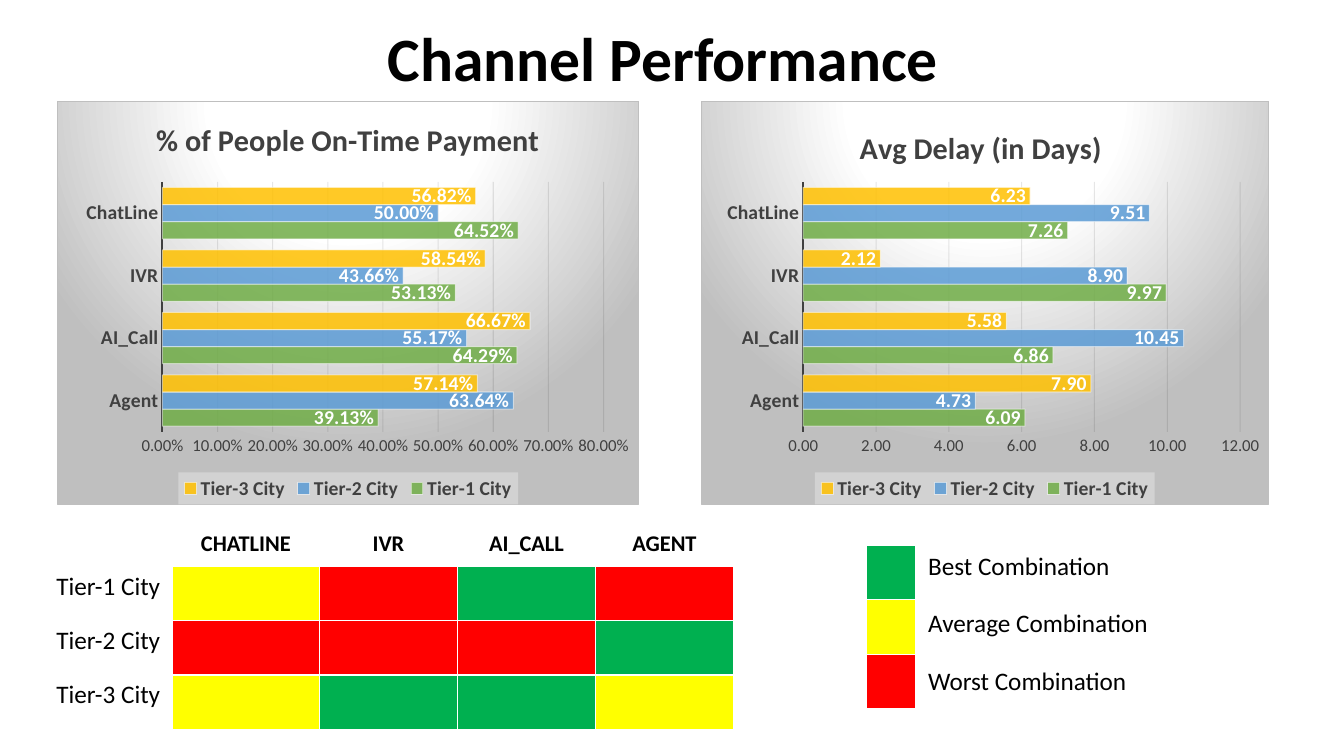
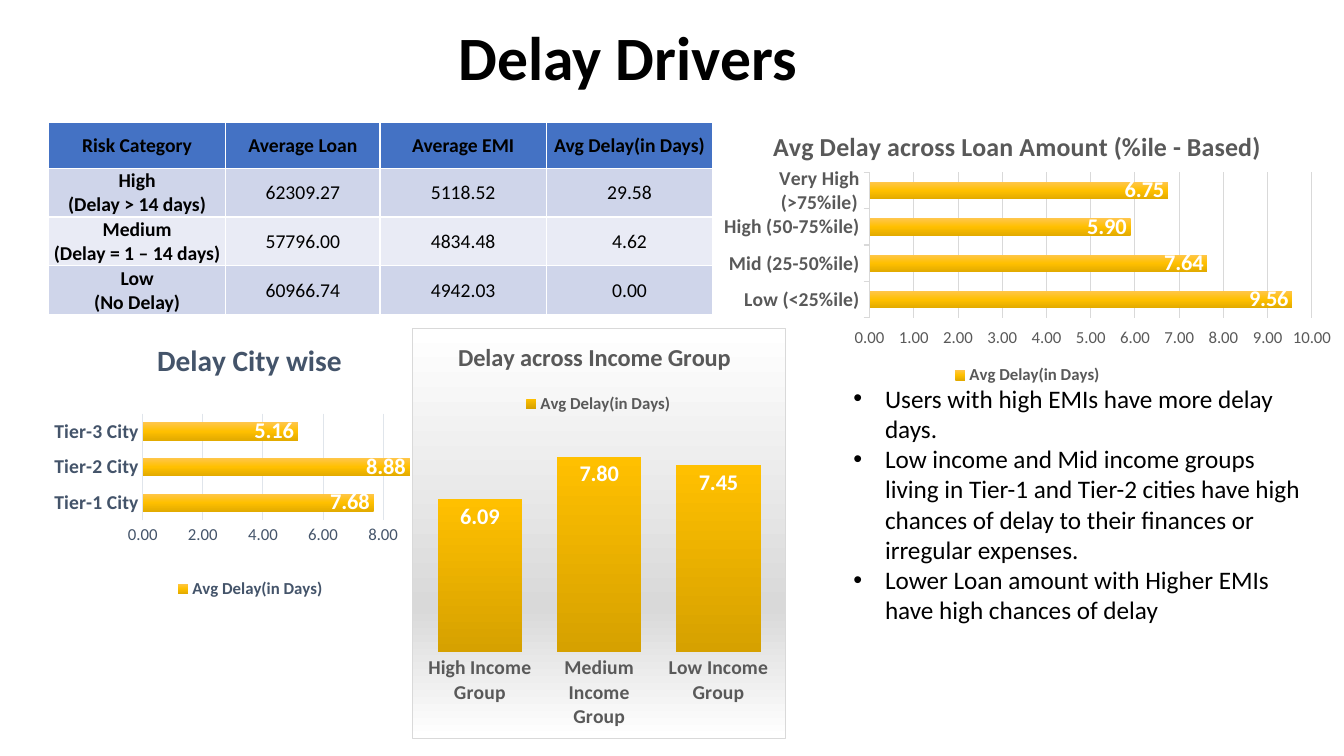
from dataclasses import dataclass

from lxml import etree
from pptx import Presentation
from pptx.chart.data import CategoryChartData
from pptx.dml.color import RGBColor
from pptx.enum.chart import XL_CHART_TYPE as ChartType
from pptx.enum.chart import XL_LABEL_POSITION as LabelPosition
from pptx.enum.chart import XL_LEGEND_POSITION as LegendPosition
from pptx.enum.chart import XL_TICK_MARK as TickMark
from pptx.enum.text import MSO_ANCHOR as Anchor
from pptx.enum.text import PP_ALIGN as Align
from pptx.oxml import parse_xml
from pptx.oxml.ns import nsdecls, qn
from pptx.util import Pt


@dataclass(frozen=True)
class Theme:
    font: str = "Calibri"
    black: str = "000000"
    white: str = "FFFFFF"
    dark: str = "404040"
    gray: str = "595959"
    slate: str = "44546A"
    best: str = "00B050"
    average: str = "FFFF00"
    worst: str = "FF0000"
    header: str = "4472C4"
    bands: tuple = ("CFD5EA", "E9EBF5")
    tiers: tuple = ("70AD47", "5B9BD5", "FFC000")
    gold_bar: tuple = ((0, "FFC64B"), (50, "FFC000"), (100, "E3AB00"))
    gold_column: tuple = ((0, "FFC000"), (100, "D6A100"))
    spotlight: tuple = ((0, "FFFFFF"), (39, "FFFFFF"), (100, "BFBFBF"))
    sheen: tuple = ((0, "FFFFFF"), (68, "D9D9D9"), (100, "FFFFFF"))
    title: float = 44
    body: float = 18
    heading: float = 16
    cell: float = 14
    axis: float = 12
    tier_title: float = 21.6
    city_title: float = 21
    income_title: float = 17.5
    loan_title: float = 18.5


THEME = Theme()
LINEAR = '<a:lin ang="5400000" scaled="0"/>'
RADIAL = ('<a:path path="circle"><a:fillToRect l="50000" t="-80000" '
          'r="50000" b="180000"/></a:path>')


def apply(target, values):
    for name, value in values.items():
        setattr(target, name, value)


def style_font(font, size, color=THEME.black, bold=False):
    apply(font, {"name": THEME.font, "size": Pt(size), "bold": bold})
    font.color.rgb = RGBColor.from_string(color)


def style_line(line, color, width):
    line.color.rgb = RGBColor.from_string(color)
    line.width = Pt(width)


def set_fill(fill, color):
    fill.solid()
    fill.fore_color.rgb = RGBColor.from_string(color)


def set_alpha(parent, route, percent):
    """Make the colour of the solid fill found along the route translucent."""
    color = parent.find("/".join(map(qn, (*route, "a:solidFill", "a:srgbClr"))))
    etree.SubElement(color, qn("a:alpha"), val=str(percent * 1000))


def gradient(stops, direction):
    stop_xml = "".join(f'<a:gs pos="{position * 1000}"><a:srgbClr val="{color}"/></a:gs>'
                       for position, color in stops)
    return parse_xml(f'<a:gradFill {nsdecls("a")} rotWithShape="1">'
                     f"<a:gsLst>{stop_xml}</a:gsLst>{direction}</a:gradFill>")


def place(element, index, target="", **fractions):
    """Give a chart part a manual layout, in fractions of the chart."""
    for old_layout in element.findall(qn("c:layout")):
        element.remove(old_layout)
    layout = parse_xml(f'<c:layout {nsdecls("c")}><c:manualLayout/></c:layout>')
    settings = {"layoutTarget": target} if target else {}
    settings |= {"xMode": "edge", "yMode": "edge", **fractions}
    for name, value in settings.items():
        etree.SubElement(layout[0], qn(f"c:{name}"), val=str(value))
    element.insert(index, layout)


def add_title_slide(presentation, text, box):
    slide = presentation.slides.add_slide(presentation.slide_layouts[5])
    title = slide.shapes.title
    apply(title, dict(zip(("left", "top", "width", "height"), map(Pt, box))))
    title.text_frame.text = text
    title.text_frame.vertical_anchor = Anchor.MIDDLE
    paragraph = title.text_frame.paragraphs[0]
    apply(paragraph, {"alignment": Align.CENTER, "line_spacing": 0.9})
    style_font(paragraph.runs[0].font, THEME.title, bold=True)
    return slide


def add_text(slide, box, lines, bulleted=False):
    frame = slide.shapes.add_textbox(*map(Pt, box)).text_frame
    frame.word_wrap = True
    frame.text = "\n".join(lines)
    for paragraph in frame.paragraphs:
        style_font(paragraph.runs[0].font, THEME.body)
        if bulleted:
            properties = paragraph._p.get_or_add_pPr()
            indent = Pt(22.5)
            properties.set("marL", str(indent))
            properties.set("indent", str(-indent))
            etree.SubElement(properties, qn("a:buFont"), typeface="Arial")
            etree.SubElement(properties, qn("a:buChar"), char="•")


def add_table(slide, position, widths, heights):
    table = slide.shapes.add_table(len(heights), len(widths), *map(Pt, position),
                                   Pt(sum(widths)), Pt(sum(heights))).table
    for column, width in zip(table.columns, widths):
        column.width = Pt(width)
    for row, height in zip(table.rows, heights):
        row.height = Pt(height)
    return table


def write_cell(cell, fill, text="", size=THEME.body, bold=False):
    set_fill(cell.fill, fill)
    if text:
        cell.text = text
        for paragraph in cell.text_frame.paragraphs:
            paragraph.alignment = Align.CENTER
            style_font(paragraph.runs[0].font, size, bold=bold)


def add_chart(slide, box, kind, categories, series, number_format, title, title_size,
              title_at, plot, color, gap, maximum):
    """Add a chart with the title, legend, labels and axes that all charts share."""
    data = CategoryChartData(number_format=number_format)
    data.categories = categories
    for name, values in series.items():
        data.add_series(name, values)
    chart = slide.shapes.add_chart(kind, *map(Pt, box), data).chart
    style_font(chart.font, 10)

    chart.has_title = True
    chart.chart_title.text_frame.text = title
    heading = chart.chart_title.text_frame.paragraphs[0]
    style_font(heading.runs[0].font, title_size, color, bold=True)
    place(chart.chart_title._element, 1, x=title_at[0], y=title_at[1])
    place(chart.element.chart.plotArea, 0, "inner", **dict(zip("xywh", plot)))

    chart.has_legend = True
    apply(chart.legend, {"position": LegendPosition.BOTTOM, "include_in_layout": False})
    style_font(chart.legend.font, THEME.axis, color, bold=True)

    bars = chart.plots[0]
    apply(bars, {"gap_width": gap, "vary_by_categories": False, "has_data_labels": True})
    apply(bars.data_labels, {"show_value": True, "position": LabelPosition.INSIDE_END,
                             "number_format": number_format,
                             "number_format_is_linked": False})
    style_font(bars.data_labels.font, THEME.heading, THEME.white, bold=True)

    category_axis, value_axis = chart.category_axis, chart.value_axis
    for axis, size, bold in ((category_axis, THEME.cell, True),
                             (value_axis, THEME.axis, False)):
        apply(axis, {"major_tick_mark": TickMark.NONE, "minor_tick_mark": TickMark.NONE})
        style_font(axis.tick_labels.font, size, color, bold)
        axis.format.line.fill.background()
    apply(value_axis, {"minimum_scale": 0, "maximum_scale": maximum})
    apply(value_axis.tick_labels, {"number_format": number_format,
                                   "number_format_is_linked": False})
    return chart


def add_background(chart, stops, direction, border):
    properties = parse_xml(
        f'<c:spPr {nsdecls("c", "a")}><a:ln w="{Pt(0.75)}"><a:solidFill>'
        f'<a:srgbClr val="{border}"/></a:solidFill></a:ln></c:spPr>')
    properties.insert(0, gradient(stops, direction))
    chart.element.chart.addnext(properties)


def style_axis_lines(chart, axis_color, axis_width, grid_color):
    style_line(chart.category_axis.format.line, axis_color, axis_width)
    style_line(chart.value_axis.major_gridlines.format.line, grid_color, 0.75)


def add_tier_chart(slide, box, title, title_at, plot, tiers, number_format, maximum, unit):
    names = [f"Tier-{number} City" for number in (1, 2, 3)]
    chart = add_chart(slide, box, ChartType.BAR_CLUSTERED,
                      ["Agent", "AI_Call", "IVR", "ChatLine"], dict(zip(names, tiers)),
                      number_format, title, THEME.tier_title, title_at, plot, THEME.dark,
                      65, maximum)
    add_background(chart, THEME.spotlight, RADIAL, "BFBFBF")
    style_axis_lines(chart, THEME.dark, 1.5, "0D0D0D")
    set_alpha(chart.value_axis._element, ("c:majorGridlines", "c:spPr", "a:ln"), 10)
    chart.value_axis.major_unit = unit
    for font in (chart.legend.font, chart.plots[0].data_labels.font):
        font.size = Pt(THEME.cell)
    for series, color in zip(chart.plots[0].series, THEME.tiers):
        set_fill(series.format.fill, color)
        style_line(series.format.line, THEME.white, 0.75)
        set_alpha(series._element, ("c:spPr",), 85)
        set_alpha(series._element, ("c:spPr", "a:ln"), 50)
    legend = chart.legend._element
    panel = parse_xml(f'<c:spPr {nsdecls("c", "a")}><a:solidFill>'
                      '<a:srgbClr val="F2F2F2"/></a:solidFill></c:spPr>')
    legend.find(qn("c:overlay")).addnext(panel)
    set_alpha(legend, ("c:spPr",), 39)


def add_delay_chart(slide, box, kind, delays, stops, *chart_format):
    chart = add_chart(slide, box, kind, list(delays),
                      {"Avg Delay(in Days)": list(delays.values())}, "0.00", *chart_format)
    properties = chart.plots[0].series[0]._element.get_or_add_spPr()
    properties.insert(0, gradient(stops, LINEAR))
    return chart


def add_combination_table(slide):
    table = add_table(slide, (31.7, 375.1), [91.4, 105.1] + [98.6] * 3, [28.1] + [38.9] * 3)
    for column, text in enumerate(["", "CHATLINE", "IVR", "AI_CALL", "AGENT"]):
        write_cell(table.cell(0, column), THEME.white, text, THEME.heading, True)
    ratings = {"B": THEME.best, "A": THEME.average, "W": THEME.worst}
    for row, codes in enumerate(("AWBW", "WWWB", "ABBA"), 1):
        write_cell(table.cell(row, 0), THEME.white, f"Tier-{row} City")
        for column, code in enumerate(codes, 1):
            write_cell(table.cell(row, column), ratings[code])


def add_combination_key(slide):
    left, top = 619.2, 389.5
    swatches = add_table(slide, (left, top), [34.6], [38.9] * 3)
    key = {"Best": THEME.best, "Average": THEME.average, "Worst": THEME.worst}
    for row, (name, color) in enumerate(key.items()):
        write_cell(swatches.cell(row, 0), color)
        add_text(slide, (left + 36.7, top + 41 * row, 224.6, 29), [f"{name} Combination"])


def add_risk_table(slide):
    rows = [("Risk Category", "Average Loan", "Average EMI", "Avg Delay(in Days)"),
            ("High\n(Delay > 14 days)", "62309.27", "5118.52", "29.58"),
            ("Medium\n(Delay = 1 – 14 days)", "57796.00", "4834.48", "4.62"),
            ("Low\n(No Delay)", "60966.74", "4942.03", "0.00")]
    table = add_table(slide, (34.6, 87.8), [126.7, 110.2, 118.8, 118.8], [32.4] * 4)
    margins = {"margin_left": Pt(0.7), "margin_right": Pt(0.7),
               "margin_top": Pt(0.7), "margin_bottom": 0}
    for row, texts in enumerate(rows):
        fill = THEME.bands[(row - 1) % 2] if row else THEME.header
        for column, text in enumerate(texts):
            cell = table.cell(row, column)
            write_cell(cell, fill, text, THEME.cell, row == 0 or column == 0)
            apply(cell, {"vertical_anchor": Anchor.MIDDLE, **margins})


def build_channel_performance(presentation):
    slide = add_title_slide(presentation, "Channel Performance", (67.7, 16.6, 812.2, 55.4))
    add_tier_chart(slide, (41, 72, 415.4, 288.7), "% of People On-Time Payment", (0.16, 0.03),
                   (0.18, 0.2, 0.76, 0.62),
                   [(0.3913, 0.6429, 0.5313, 0.6452), (0.6364, 0.5517, 0.4366, 0.5),
                    (0.5714, 0.6667, 0.5854, 0.5682)], "0.00%", 0.8, 0.1)
    add_tier_chart(slide, (500.4, 72, 406.1, 288.7), "Avg Delay (in Days)", (0.27, 0.05),
                   (0.18, 0.2, 0.77, 0.62),
                   [(6.09, 6.86, 9.97, 7.26), (4.73, 10.45, 8.9, 9.51),
                    (7.9, 5.58, 2.12, 6.23)], "0.00", 12, 2)
    add_combination_table(slide)
    add_combination_key(slide)


def build_delay_drivers(presentation):
    slide = add_title_slide(presentation, "Delay Drivers", (34.6, 13.7, 828, 59))
    city = add_delay_chart(
        slide, (18.7, 234.7, 320.4, 195.8), ChartType.BAR_CLUSTERED,
        {"Tier-1 City": 7.68, "Tier-2 City": 8.88, "Tier-3 City": 5.16}, THEME.gold_bar,
        "Delay City wise", THEME.city_title, (0.28, 0.02), (0.26, 0.31, 0.67, 0.39),
        THEME.slate, 100, 10)
    style_axis_lines(city, "E0E5EB", 0.75, "E0E5EB")
    city.value_axis.major_unit = 2
    add_risk_table(slide)

    income = add_delay_chart(
        slide, (294.5, 234, 267.1, 293.8), ChartType.COLUMN_CLUSTERED,
        {"High Income Group": 6.09, "Medium Income Group": 7.8, "Low Income Group": 7.45},
        THEME.gold_column, "Delay across Income Group", THEME.income_title, (0.11, 0.02),
        (0.02, 0.24, 0.96, 0.55), THEME.gray, 41, 9)
    apply(income.value_axis, {"visible": False, "has_major_gridlines": False})
    income.legend.position = LegendPosition.TOP
    place(income.legend._element, 1, x=0.29, y=0.15)
    add_background(income, THEME.sheen, LINEAR, "D9D9D9")

    loan = add_delay_chart(
        slide, (508.3, 82.1, 451.4, 195.8), ChartType.BAR_CLUSTERED,
        {"Low (<25%ile)": 9.56, "Mid (25-50%ile)": 7.64, "High (50-75%ile)": 5.9,
         "Very High (>75%ile)": 6.75}, THEME.gold_bar,
        "Avg Delay across Loan Amount (%ile - Based)", THEME.loan_title, (0.09, 0.03),
        (0.25, 0.21, 0.7, 0.53), THEME.gray, 115, 10)
    style_axis_lines(loan, "D9D9D9", 1, "D9D9D9")
    loan.plots[0].overlap = -20
    loan.value_axis.major_unit = 1
    for axis in (loan.category_axis, loan.value_axis):
        axis.major_tick_mark = TickMark.OUTSIDE

    add_text(slide, (602.6, 270, 338.4, 181.4), [
        "Users with high EMIs have more delay days.",
        "Low income and Mid income groups living in Tier-1 and Tier-2 cities have high "
        "chances of delay to their finances or irregular expenses.",
        "Lower Loan amount with Higher EMIs have high chances of delay"], bulleted=True)


def main():
    presentation = Presentation()
    apply(presentation, {"slide_width": Pt(960), "slide_height": Pt(540)})
    build_channel_performance(presentation)
    build_delay_drivers(presentation)
    presentation.save("out.pptx")


if __name__ == "__main__":
    main()
